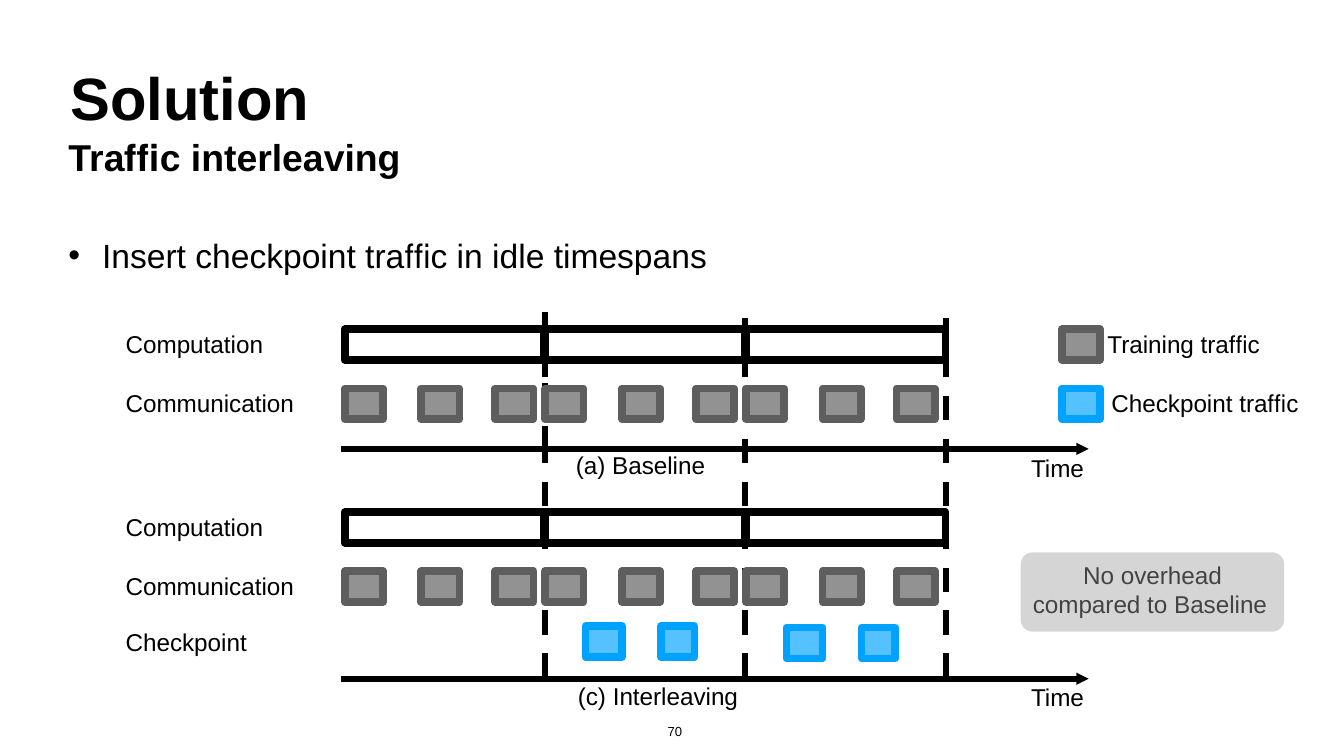
from lxml import etree
from pptx import Presentation
from pptx.dml.color import RGBColor
from pptx.enum.dml import MSO_LINE
from pptx.enum.shapes import MSO_CONNECTOR, MSO_SHAPE
from pptx.enum.text import PP_ALIGN
from pptx.oxml.ns import qn
from pptx.util import Inches, Pt

BLACK = RGBColor(0x00, 0x00, 0x00)
CHARCOAL = RGBColor(0x43, 0x43, 0x43)
DARK_GRAY = RGBColor(0x5E, 0x5E, 0x5E)
GRAY = RGBColor(0x92, 0x92, 0x92)
LIGHT_GRAY = RGBColor(0xD5, 0xD5, 0xD5)
BLUE = RGBColor(0x00, 0xA2, 0xFF)
LIGHT_BLUE = RGBColor(0x56, 0xC1, 0xFF)
TRAINING = (GRAY, DARK_GRAY)
CHECKPOINT = (LIGHT_BLUE, BLUE)
LEFT, RIGHT = PP_ALIGN.LEFT, PP_ALIGN.RIGHT
RECTANGLE, ROUNDED = MSO_SHAPE.RECTANGLE, MSO_SHAPE.ROUNDED_RECTANGLE
STRAIGHT, DASH = MSO_CONNECTOR.STRAIGHT, MSO_LINE.DASH

COLUMNS, ROWS = 100, 56.25
TIMELINE_LEFT, ITERATION = 25.65, 14.93
ITERATIONS = [TIMELINE_LEFT + ITERATION * index for index in range(3)]
BLOCK_WIDTH, BAR_HEIGHT = 2.85, 2.3
TRAINING_OFFSETS = (0, 5.7, 11.2)
CHECKPOINT_BLOCKS = ((3, 2.7), (8.6, 2.5))


class SlidePainter:
    """Draws styled elements on one slide, measured in grid columns and rows."""

    def __init__(self, presentation, font="Arial"):
        self.slide = presentation.slides.add_slide(presentation.slide_layouts[6])
        self.column = presentation.slide_width / COLUMNS
        self.row = presentation.slide_height / ROWS
        self.font = font

    def place(self, column, row):
        return round(column * self.column), round(row * self.row)

    def text(self, column, row, width, height, lines, size=13, color=BLACK,
             bold=False, align=LEFT, margin=0, indent=0, bullet=None):
        shape = self.slide.shapes.add_textbox(
            *self.place(column, row), *self.place(width, height))
        frame = shape.text_frame
        frame.word_wrap = True
        frame.margin_left = frame.margin_right = frame.margin_bottom = 0
        frame.margin_top = Inches(0.01)
        frame.text = lines
        for paragraph in frame.paragraphs:
            paragraph.alignment = align
            properties = paragraph._p.get_or_add_pPr()
            properties.set("marL", str(round(margin * self.column)))
            properties.set("indent", str(round(indent * self.column)))
            if bullet:
                etree.SubElement(properties, qn("a:buFont")).set("typeface", self.font)
                etree.SubElement(properties, qn("a:buChar")).set("char", bullet)
            for run in paragraph.runs:
                run.font.name = self.font
                run.font.size = Pt(size)
                run.font.bold = bold
                run.font.color.rgb = color
        return frame

    def box(self, column, row, width, height, fill=None, line=None, kind=RECTANGLE):
        shape = self.slide.shapes.add_shape(
            kind, *self.place(column, row), *self.place(width, height))
        shape.shadow.inherit = False
        if fill is None:
            shape.fill.background()
        else:
            shape.fill.solid()
            shape.fill.fore_color.rgb = fill
        if line is None:
            shape.line.fill.background()
        else:
            shape.line.color.rgb = line
            shape.line.width = Pt(4.12)
        return shape

    def block(self, column, row, colors, width=BLOCK_WIDTH):
        self.box(column, row, width, BAR_HEIGHT, *colors)

    def line(self, start, end, dash=None, arrow=False):
        connector = self.slide.shapes.add_connector(
            STRAIGHT, *self.place(*start), *self.place(*end))
        connector.line.color.rgb = BLACK
        connector.line.width = Pt(3.3)
        if dash:
            connector.line.dash_style = dash
        if arrow:
            head = etree.SubElement(connector.line._get_or_add_ln(), qn("a:tailEnd"))
            for name, value in (("type", "triangle"), ("w", "sm"), ("len", "sm")):
                head.set(name, value)
        etree.SubElement(connector._element.spPr, qn("a:effectLst"))

    def timeline(self, top, axis):
        self.text(9.35, top - 0.1, 11.5, 2.3, "Computation")
        self.text(9.35, top + 4.3, 14, 2.3, "Communication")
        for left in ITERATIONS:
            self.box(left, top, 14.85, BAR_HEIGHT, line=BLACK)
            for offset in TRAINING_OFFSETS:
                self.block(left + offset, top + 4.4, TRAINING)
        self.line((25.35, axis), (81, axis), arrow=True)
        self.text(76.72, axis + 0.2, 5, 2.3, "Time")


def main():
    presentation = Presentation()
    presentation.slide_width, presentation.slide_height = Inches(10), Pt(405)
    painter = SlidePainter(presentation)

    title = painter.text(5.1, 4.4, 60, 9, "Solution\nTraﬃc interleaving", 32,
                         bold=True, indent=0.15)
    subtitle = title.paragraphs[1]
    subtitle.space_before = Pt(1)
    subtitle._p.get_or_add_pPr().set("indent", "0")
    subtitle.runs[0].font.size = Pt(20)
    painter.text(5.1, 17.4, 60, 3.8, "Insert checkpoint traﬃc in idle timespans",
                 18, margin=2.5, indent=-2.5, bullet="•")

    painter.line((40.55, 33.5), (40.55, 23.2), DASH)
    for index in range(1, 4):
        left = TIMELINE_LEFT + ITERATION * index - 0.05
        painter.line((left, 50.45), (left, 23.7), DASH)
    painter.timeline(24.5, 33.4)
    painter.timeline(38.1, 50.5)
    painter.text(42.85, 33.4, 14, 2.3, "(a) Baseline")
    painter.text(43, 50.6, 14, 2.3, "(c) Interleaving")

    painter.text(9.35, 46.6, 12, 2.3, "Checkpoint")
    for left, top in zip(ITERATIONS[1:], (46.6, 46.7)):
        for offset, width in CHECKPOINT_BLOCKS:
            painter.block(left + offset, top, CHECKPOINT, width)

    painter.block(79, 24.5, TRAINING)
    painter.text(82.4, 24.4, 14, 2.3, "Training traﬃc")
    painter.block(79, 28.9, CHECKPOINT)
    painter.text(82.7, 28.8, 16, 2.3, "Checkpoint traﬃc")

    callout = painter.box(75.95, 41.1, 19.6, 5.9, LIGHT_GRAY, kind=ROUNDED)
    callout.adjustments[0] = 0.15
    painter.text(76.85, 41.6, 18.3, 4.4, "No overhead compared to Baseline",
                 color=CHARCOAL, indent=3.75)
    painter.text(49.25, 53.75, 1.5, 1.2, "70", 7, align=RIGHT)
    presentation.save("out.pptx")


if __name__ == "__main__":
    main()
